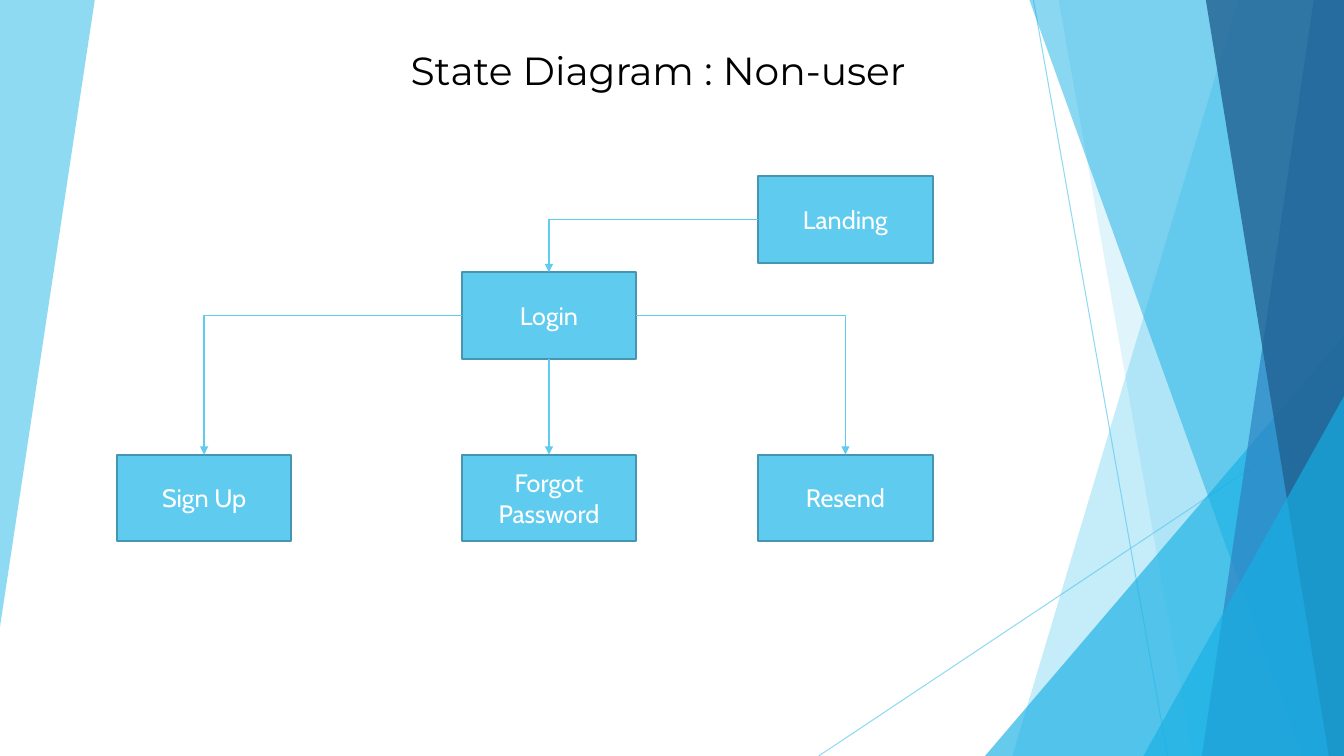
from lxml import etree
from pptx import Presentation
from pptx.dml.color import RGBColor
from pptx.enum.shapes import MSO_CONNECTOR as Link, MSO_SHAPE as Preset
from pptx.enum.text import MSO_ANCHOR as Anchor, PP_ALIGN as Align
from pptx.oxml.ns import qn
from pptx.util import Inches, Pt

COLORS = {
    "sky": "5FCBEF",
    "cyan": "17B0E4",
    "blue": "2E83C3",
    "navy": "226292",
    "edge": "4696B1",
    "white": "FFFFFF",
    "black": "000000",
}
WIDTH, HEIGHT = 13.33, 7.5
STATE_WIDTH, STATE_HEIGHT = 1.73, 0.86
TOP, LEFT, BOTTOM, RIGHT = range(4)


def rgb(color):
    return RGBColor.from_string(COLORS[color])


def set_opacity(element, percent):
    for color in element.iter(qn("a:srgbClr")):
        etree.SubElement(color, qn("a:alpha")).set("val", str(percent * 1000))


def fill_panel(panel, color, opacity):
    panel.shadow.inherit = False
    panel.fill.solid()
    panel.fill.fore_color.rgb = rgb(color)
    panel.line.fill.background()
    set_opacity(panel._element.spPr, opacity)


def add_panel(slide, corners, color, opacity):
    points = [(Inches(x), Inches(y)) for x, y in corners]
    builder = slide.shapes.build_freeform(*points[0], scale=1.0)
    builder.add_line_segments(points[1:], close=True)
    fill_panel(builder.convert_to_shape(), color, opacity)


def add_edge_panel(slide, top_x, bottom_x, color, opacity):
    """Panel from a slanted left side to the right edge of the slide."""
    corners = [(top_x, 0), (WIDTH, 0), (WIDTH, HEIGHT), (bottom_x, HEIGHT)]
    add_panel(slide, corners, color, opacity)


def add_corner_triangle(slide, left, top):
    """Right triangle filling the bottom right corner of the slide."""
    triangle = slide.shapes.add_shape(
        Preset.ISOSCELES_TRIANGLE, Inches(left), Inches(top),
        Inches(WIDTH - left), Inches(HEIGHT - top))
    triangle.adjustments[0] = 1.0
    fill_panel(triangle, "cyan", 66)


def add_line(slide, kind, start, end, width):
    line = slide.shapes.add_connector(kind, *map(Inches, start + end))
    line.line.color.rgb = rgb("sky")
    line.line.width = Pt(width)
    etree.SubElement(line._element.spPr, qn("a:effectLst"))
    return line


def add_background(slide):
    add_panel(slide, [(0, 0), (0.94, 0), (0, 6.22)], "sky", 70)
    for start, end in [((10.25, 0), (11.58, HEIGHT)),
                       ((WIDTH, 4.03), (8.12, HEIGHT))]:
        ray = add_line(slide, Link.STRAIGHT, start, end, 0.75)
        set_opacity(ray._element.spPr, 70)
    add_edge_panel(slide, 12.28, 10.04, "sky", 36)
    add_edge_panel(slide, 10.5, 11.83, "sky", 20)
    add_corner_triangle(slide, 9.77, 3.33)
    add_edge_panel(slide, 10.21, 12.91, "cyan", 50)
    add_edge_panel(slide, 13.03, 11.92, "blue", 70)
    add_edge_panel(slide, 11.96, 13.18, "navy", 80)
    add_corner_triangle(slide, 11.34, 3.93)


def write(shape, text, font, size, color, align, anchor):
    frame = shape.text_frame
    frame.word_wrap = True
    frame.vertical_anchor = anchor
    paragraph = frame.paragraphs[0]
    paragraph.text = text
    paragraph.alignment = align
    paragraph.font.name = font
    paragraph.font.size = Pt(size)
    paragraph.font.color.rgb = rgb(color)


def add_title(slide, text):
    title = slide.shapes.add_textbox(
        Inches(3.4), Inches(0.37), Inches(5.68), Inches(0.61))
    write(title, text, "Montserrat", 28, "black", Align.RIGHT, Anchor.BOTTOM)


def add_state(slide, name, left, top):
    state = slide.shapes.add_shape(
        Preset.RECTANGLE, Inches(left), Inches(top),
        Inches(STATE_WIDTH), Inches(STATE_HEIGHT))
    state.shadow.inherit = False
    state.fill.solid()
    state.fill.fore_color.rgb = rgb("sky")
    state.line.color.rgb = rgb("edge")
    state.line.width = Pt(1.5)
    write(state, name, "Cabin", 18, "white", Align.CENTER, Anchor.MIDDLE)
    return state


def add_transition(slide, source, side, target):
    """Arrow from a side of one state to the top of another."""
    kind = Link.STRAIGHT if side == BOTTOM else Link.ELBOW
    arrow = add_line(slide, kind, (0, 0), (1, 1), 1)
    arrow.begin_connect(source, side)
    arrow.end_connect(target, TOP)
    if kind == Link.ELBOW:
        # A single bend: sideways first, then down.
        geometry = arrow._element.spPr.find(qn("a:prstGeom"))
        geometry.set("prst", "bentConnector2")
    tail = etree.SubElement(arrow.line._get_or_add_ln(), qn("a:tailEnd"))
    tail.set("type", "triangle")


def main():
    deck = Presentation()
    deck.slide_width, deck.slide_height = Inches(WIDTH), Inches(HEIGHT)
    slide = deck.slides.add_slide(deck.slide_layouts[6])
    add_background(slide)
    add_title(slide, "State Diagram : Non-user")

    left, middle, right = 1.16, 4.58, 7.52
    landing = add_state(slide, "Landing", right, 1.75)
    sign_up = add_state(slide, "Sign Up", left, 4.51)
    login = add_state(slide, "Login", middle, 2.7)
    forgot = add_state(slide, "Forgot Password", middle, 4.51)
    resend = add_state(slide, "Resend", right, 4.51)

    add_transition(slide, login, LEFT, sign_up)
    add_transition(slide, login, BOTTOM, forgot)
    add_transition(slide, login, RIGHT, resend)
    add_transition(slide, landing, LEFT, login)
    deck.save("out.pptx")


if __name__ == "__main__":
    main()
